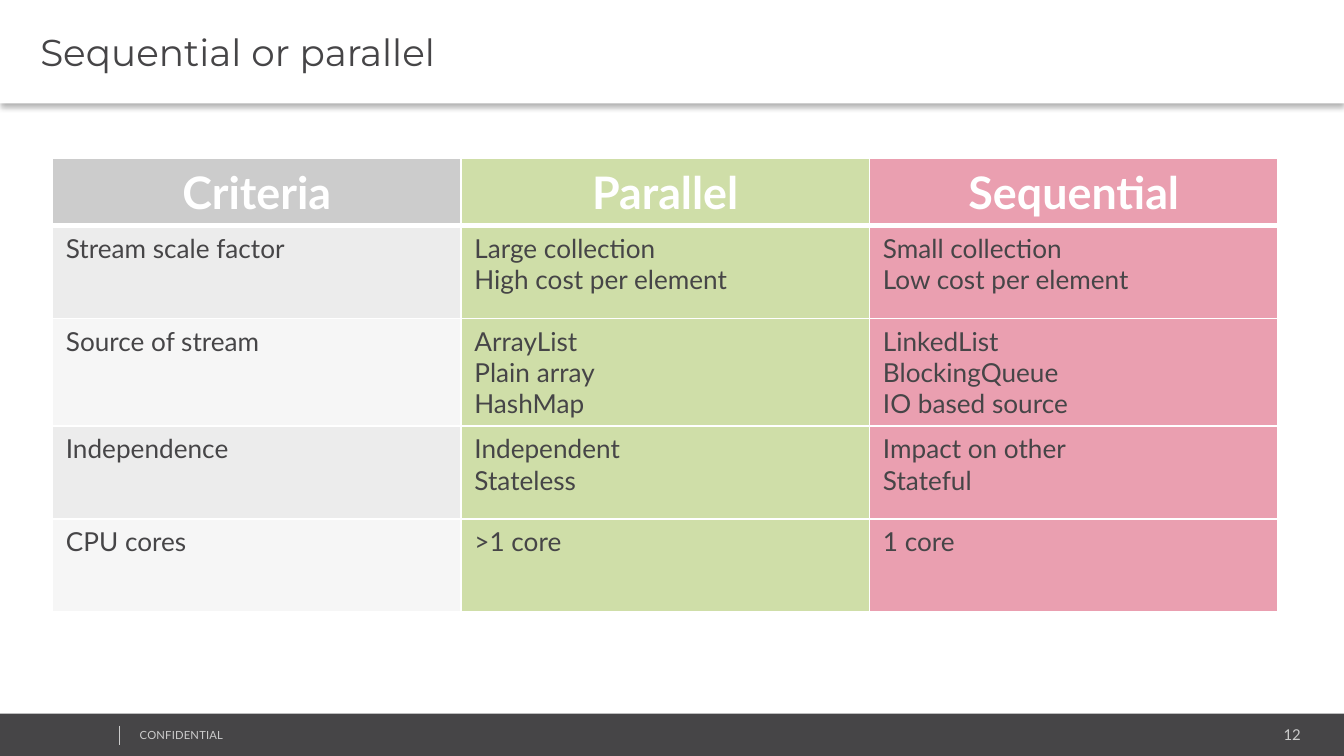
from lxml import etree
from pptx import Presentation
from pptx.dml.color import RGBColor
from pptx.enum.shapes import MSO_CONNECTOR, MSO_SHAPE
from pptx.enum.text import MSO_ANCHOR, PP_ALIGN
from pptx.oxml.ns import qn
from pptx.util import Inches, Pt

WHITE = RGBColor(0xFF, 0xFF, 0xFF)
DARK = RGBColor(0x46, 0x45, 0x47)
GRAY = RGBColor(0xCC, 0xCC, 0xCC)
BAND_DARK = RGBColor(0xEC, 0xEC, 0xEC)
BAND_LIGHT = RGBColor(0xF6, 0xF6, 0xF6)
GREEN = RGBColor(0xCF, 0xDE, 0xA8)
PINK = RGBColor(0xEA, 0x9F, 0xB0)

HEADERS = ["Criteria", "Parallel", "Sequential"]
ROWS = [
    ["Stream scale factor", "Large collection\nHigh cost per element",
     "Small collection\nLow cost per element"],
    ["Source of stream", "ArrayList\nPlain array\nHashMap",
     "LinkedList\nBlockingQueue\nIO based source"],
    ["Independence", "Independent\nStateless", "Impact on other\nStateful"],
    ["CPU cores", ">1 core", "1 core"],
]


def set_text(text_frame, text, size, color, font="Lato", bold=False, align=PP_ALIGN.LEFT):
    text_frame.text = text
    for paragraph in text_frame.paragraphs:
        paragraph.alignment = align
        for run in paragraph.runs:
            run.font.name = font
            run.font.size = Pt(size)
            run.font.bold = bold
            run.font.color.rgb = color


def set_insets(text_frame, left=0.07):
    text_frame.word_wrap = True
    text_frame.margin_left = Inches(left)
    text_frame.margin_right = Inches(0.07)
    text_frame.margin_top = text_frame.margin_bottom = Inches(0.04)


def add_bar(slide, left, top, width, height, color):
    bar = slide.shapes.add_shape(
        MSO_SHAPE.RECTANGLE, Inches(left), Inches(top), Inches(width), Inches(height))
    bar.shadow.inherit = False
    bar.fill.solid()
    bar.fill.fore_color.rgb = color
    bar.line.fill.background()
    return bar


def add_label(slide, left, top, width, height, text, size, align=PP_ALIGN.LEFT):
    label = slide.shapes.add_textbox(Inches(left), Inches(top), Inches(width), Inches(height))
    set_insets(label.text_frame)
    set_text(label.text_frame, text, size, GRAY, align=align)
    return label


def add_footer(slide, left, top, width, height):
    add_bar(slide, left, top, width, height, DARK)
    add_label(slide, left + 8.12, top + 0.05, 1.63, 0.21, "12", 8, PP_ALIGN.RIGHT)
    notice = add_label(slide, left + 0.97, top + 0.07, 2.53, 0.18, "CONFIDENTIAL", 6)
    # Letter spacing, in hundredths of a point
    notice.text_frame.paragraphs[0].runs[0].font._element.set("spc", "10")

    divider = slide.shapes.add_connector(
        MSO_CONNECTOR.STRAIGHT, Inches(left + 0.89), Inches(top + 0.09),
        Inches(left + 0.89), Inches(top + 0.23))
    divider.line.color.rgb = GRAY
    divider.line.width = Pt(0.25)
    etree.SubElement(divider._element.spPr, qn("a:effectLst"))


def set_borders(cell, top, bottom):
    properties = cell._tc.get_or_add_tcPr()
    widths = {"a:lnL": 1, "a:lnR": 1, "a:lnT": top, "a:lnB": bottom}
    for position, (tag, width) in enumerate(widths.items()):
        line = etree.Element(qn(tag), w=str(Pt(width)))
        fill = etree.SubElement(line, qn("a:solidFill"))
        etree.SubElement(fill, qn("a:srgbClr"), val=str(WHITE))
        properties.insert(position, line)


def add_comparison(slide, left, top, width, header_height, row_height):
    row_count, column_count = len(ROWS) + 1, len(HEADERS)
    height = header_height + row_height * len(ROWS)
    table = slide.shapes.add_table(
        row_count, column_count,
        Inches(left), Inches(top), Inches(width), Inches(height)).table
    for column in table.columns:
        column.width = Inches(width / column_count)

    for row_index, texts in enumerate([HEADERS] + ROWS):
        is_header = row_index == 0
        table.rows[row_index].height = Inches(header_height if is_header else row_height)
        band = GRAY if is_header else BAND_DARK if row_index % 2 else BAND_LIGHT
        for column_index, (text, color) in enumerate(zip(texts, [band, GREEN, PINK])):
            cell = table.cell(row_index, column_index)
            cell.fill.solid()
            cell.fill.fore_color.rgb = color
            if is_header:
                set_text(cell.text_frame, text, 24, WHITE, bold=True, align=PP_ALIGN.CENTER)
            else:
                set_text(cell.text_frame, text, 14, DARK)
            # A thick rule sets the header apart from the body
            set_borders(cell, top=3 if row_index == 1 else 1, bottom=3 if is_header else 1)


def add_title(slide, left, top, width, height, text):
    title = add_bar(slide, left, top, width, height, WHITE)
    set_insets(title.text_frame, left=0.3)
    title.text_frame.vertical_anchor = MSO_ANCHOR.MIDDLE
    set_text(title.text_frame, text, 20, DARK, font="Montserrat")

    # Soft shadow cast downwards
    effects = title._element.spPr.find(qn("a:effectLst"))
    shadow = etree.SubElement(
        effects, qn("a:outerShdw"), blurRad=str(Pt(3.1)), dist=str(Pt(2)),
        dir="5400000", algn="t", rotWithShape="0")
    color = etree.SubElement(shadow, qn("a:srgbClr"), val="000000")
    etree.SubElement(color, qn("a:alpha"), val="30000")


def main():
    presentation = Presentation()
    # Widescreen, 16:9
    presentation.slide_width = Inches(10)
    presentation.slide_height = Inches(10 * 9 / 16)
    slide = presentation.slides.add_slide(presentation.slide_layouts[6])

    add_footer(slide, 0, 5.31, 10.01, 0.33)
    add_comparison(slide, 0.39, 1.18, 9.12, header_height=0.5, row_height=0.69)
    add_title(slide, 0, 0, 10, 0.77, "Sequential or parallel")

    presentation.save("out.pptx")


if __name__ == "__main__":
    main()
